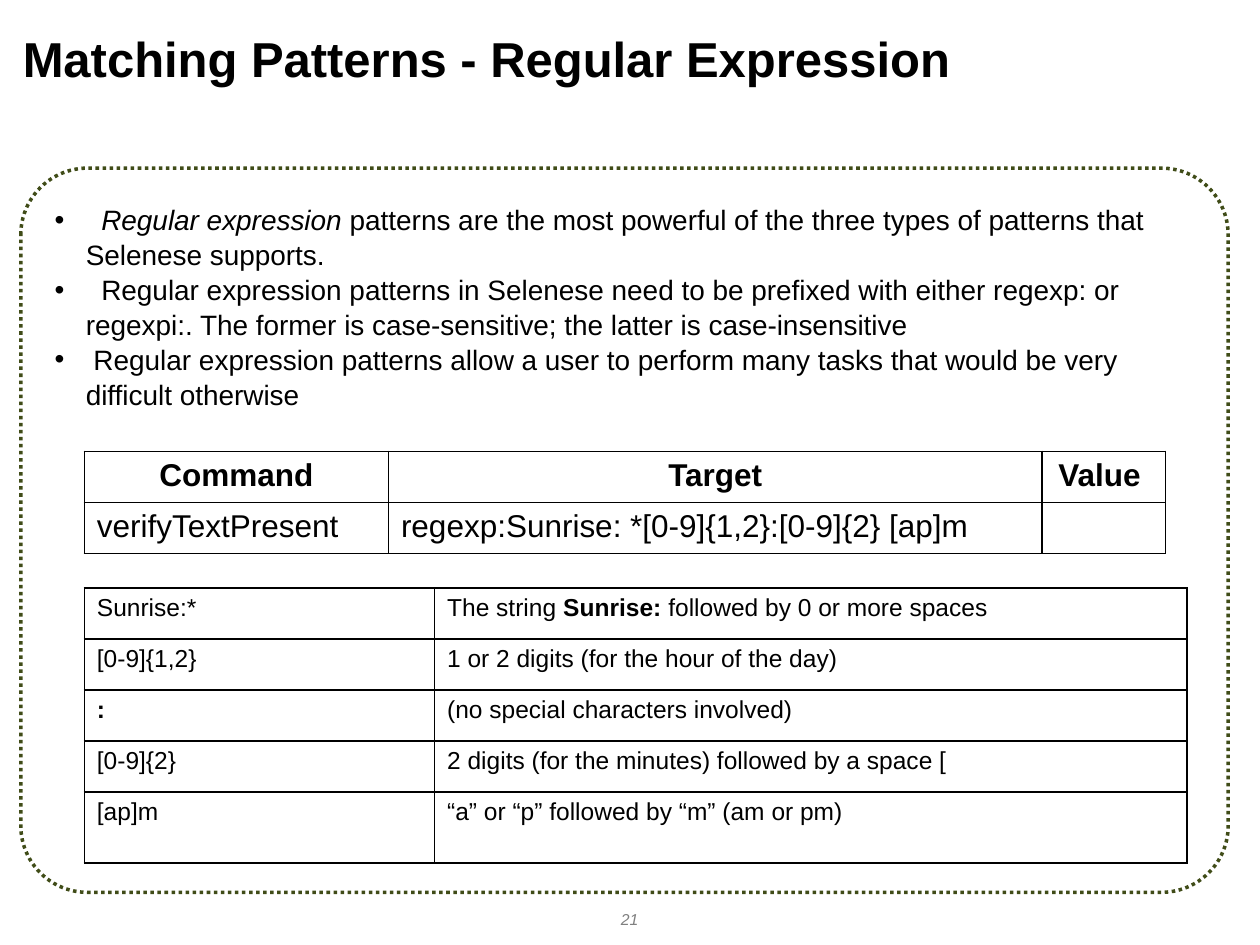
from dataclasses import dataclass

from lxml.etree import SubElement
from pptx import Presentation
from pptx.dml.color import RGBColor
from pptx.enum.dml import MSO_LINE
from pptx.enum.shapes import MSO_SHAPE
from pptx.enum.text import MSO_ANCHOR, PP_ALIGN
from pptx.oxml.ns import qn
from pptx.util import Cm, Pt


@dataclass(frozen=True)
class Theme:
    font: str = "Arial"
    ink: str = "000000"
    muted: str = "808080"
    frame: str = "404C18"
    title: int = 28
    header: int = 18
    body: int = 16
    detail: int = 14
    footer: int = 9


class SlideBuilder:
    def __init__(self, slide, theme):
        self.s = slide
        self.theme = theme

    def style(self, p, size, color=None, bold=False, italic=False):
        for r in p.runs:
            f = r.font
            f.name, f.size = self.theme.font, Pt(size)
            f.bold, f.italic = bold, italic
            f.color.rgb = RGBColor.from_string(color or self.theme.ink)

    def rich(self, p, parts, size):
        """Fill a paragraph from (text, emphasis) pairs; emphasis is '', 'b' or 'i'."""
        p.text = ""
        for text, emphasis in parts:
            p.add_run().text = text
        self.style(p, size)
        for r, (text, emphasis) in zip(p.runs, parts):
            r.font.bold, r.font.italic = emphasis == "b", emphasis == "i"

    def text_frame(self, box):
        tf = self.s.shapes.add_textbox(*map(Cm, box)).text_frame
        tf.word_wrap = True
        return tf

    def label(self, box, text, size, align=PP_ALIGN.LEFT, **look):
        tf = self.text_frame(box)
        tf.text = text
        tf.vertical_anchor = MSO_ANCHOR.MIDDLE
        p = tf.paragraphs[0]
        p.alignment = align
        self.style(p, size, **look)

    def frame(self, box, radius):
        sp = self.s.shapes.add_shape(MSO_SHAPE.ROUNDED_RECTANGLE, *map(Cm, box))
        sp.adjustments[0] = radius
        sp.shadow.inherit = False
        sp.fill.background()
        sp.line.color.rgb = RGBColor.from_string(self.theme.frame)
        sp.line.width = Pt(2)
        sp.line.dash_style = MSO_LINE.ROUND_DOT

    def bullets(self, box, items):
        tf = self.text_frame(box)
        for i, parts in enumerate(items):
            p = tf.add_paragraph() if i else tf.paragraphs[0]
            self.rich(p, parts, self.theme.body)
            p.line_spacing = 1.04
            pPr = p._p.get_or_add_pPr()
            pPr.set("marL", str(Cm(1.27)))
            pPr.set("indent", str(-Cm(0.63)))
            SubElement(pPr, qn("a:buFont")).set("typeface", self.theme.font)
            SubElement(pPr, qn("a:buChar")).set("char", "•")

    def border(self, cell):
        tcPr = cell._tc.get_or_add_tcPr()
        for i, side in enumerate(("lnL", "lnR", "lnT", "lnB")):
            ln = tcPr.makeelement(qn(f"a:{side}"), {"w": str(Pt(1))})
            fill = SubElement(ln, qn("a:solidFill"))
            SubElement(fill, qn("a:srgbClr")).set("val", self.theme.ink)
            tcPr.insert(i, ln)

    def table(self, left, top, widths, heights, rows, size, header=False):
        box = (left, top, sum(widths), sum(heights))
        tbl = self.s.shapes.add_table(len(rows), len(widths), *map(Cm, box)).table
        tbl.first_row, tbl.horz_banding = header, False
        for col, width in zip(tbl.columns, widths):
            col.width = Cm(width)
        for row, height in zip(tbl.rows, heights):
            row.height = Cm(height)
        for i, row in enumerate(rows):
            for j, parts in enumerate(row):
                cell = tbl.cell(i, j)
                cell.fill.background()
                self.border(cell)
                p = cell.text_frame.paragraphs[0]
                self.rich(p, parts, size)
                if header and i == 0:
                    p.alignment = PP_ALIGN.CENTER


def main():
    prs = Presentation()
    prs.slide_width, prs.slide_height = Cm(25.4), Cm(19.05)
    theme = Theme()
    b = SlideBuilder(prs.slides.add_slide(prs.slide_layouts[6]), theme)

    # Page number, title and frame
    b.label((9.73, 18.21, 5.93, 0.66), "21", theme.footer, PP_ALIGN.CENTER,
            color=theme.muted, italic=True)
    b.label((0.21, 0, 22.66, 2.34), "Matching Patterns - Regular Expression",
            theme.title, bold=True)
    b.frame((0.42, 3.39, 24.34, 14.6), 0.092)

    # Key points
    b.bullets((0.21, 3.94, 23.93, 4.5), [
        [("  ", "b"), ("Regular expression", "i"),
         (" patterns are the most powerful of the three types of patterns "
          "that Selenese supports.", "")],
        [("  ", "b"),
         ("Regular expression patterns in Selenese need to be prefixed with "
          "either regexp: or regexpi:. The former is case-sensitive; the "
          "latter is case-insensitive", "")],
        [(" Regular expression patterns allow a user to perform many tasks "
          "that would be very difficult otherwise", "")],
    ])

    # Example command
    left, row = 1.7, 1.03
    b.table(left, 9.1, (6.13, 13.18, 2.49), [row] * 2, [
        [[("Command", "b")], [("Target", "b")], [("Value ", "b")]],
        [[("verifyTextPresent", "")],
         [("regexp:Sunrise: *[0-9]{1,2}:[0-9]{2} [ap]m", "")], []],
    ], theme.header, header=True)

    # Meaning of each part of the pattern
    b.table(left, 11.85, (7.06, 15.17), [row] * 4 + [1.43], [
        [[("Sunrise:*", "")],
         [("The string ", ""), ("Sunrise:", "b"),
          (" followed by 0 or more spaces", "")]],
        [[("[0-9]{1,2}", "")], [("1 or 2 digits (for the hour of the day)", "")]],
        [[(":", "b")], [("(no special characters involved)", "")]],
        [[("[0-9]{2}", "")],
         [("2 digits (for the minutes) followed by a space [", "")]],
        [[("[ap]m", "")], [("“a” or “p” followed by “m” (am or pm)", "")]],
    ], theme.detail)

    prs.save("out.pptx")


if __name__ == "__main__":
    main()
